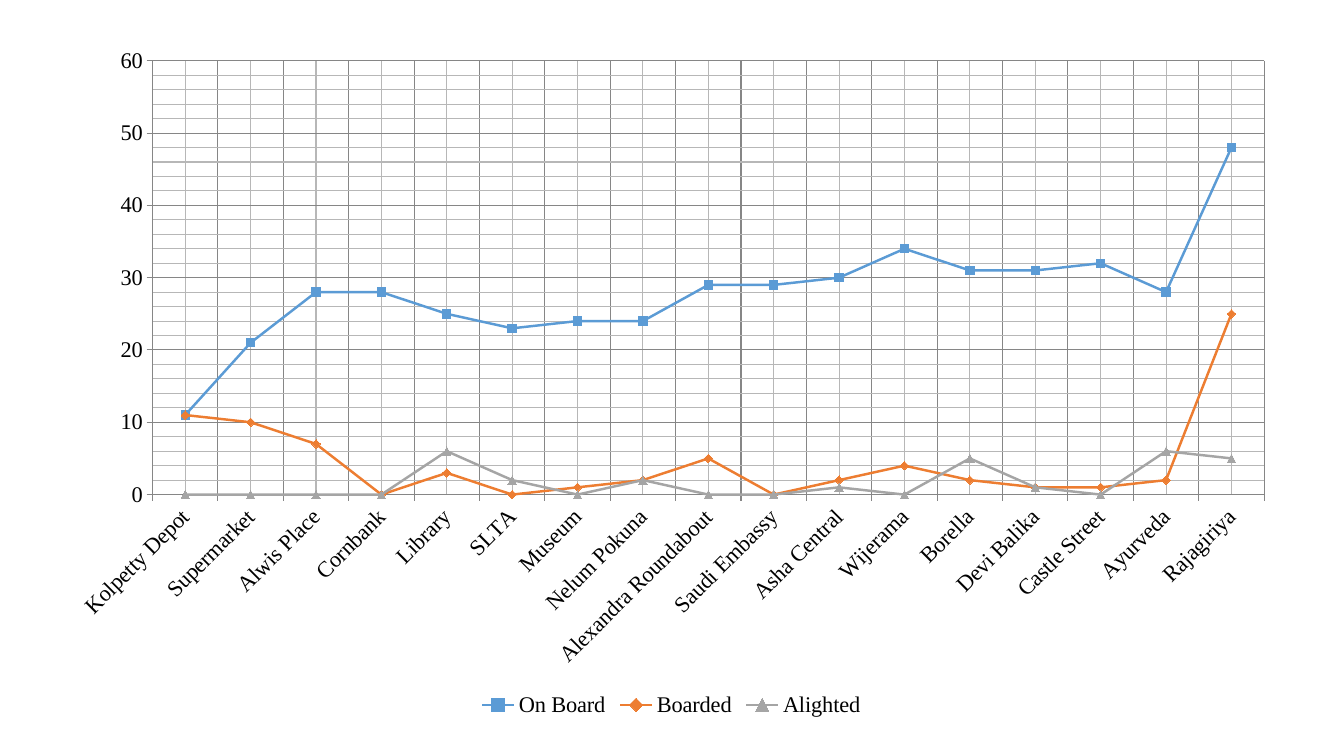
from lxml.etree import SubElement
from pptx import Presentation
from pptx.chart.data import CategoryChartData
from pptx.dml.color import RGBColor
from pptx.enum.chart import XL_CHART_TYPE as ChartType
from pptx.enum.chart import XL_LEGEND_POSITION as LegendPosition
from pptx.enum.chart import XL_MARKER_STYLE as Marker
from pptx.enum.chart import XL_TICK_MARK as TickMark
from pptx.oxml import parse_xml
from pptx.oxml.ns import nsdecls, qn
from pptx.util import Inches, Pt

BLACK = RGBColor(0x00, 0x00, 0x00)
BLUE = RGBColor(0x5B, 0x9B, 0xD5)
ORANGE = RGBColor(0xED, 0x7D, 0x31)
GRAY = RGBColor(0xA5, 0xA5, 0xA5)
MAJOR_GRID = RGBColor(0x86, 0x86, 0x86)
MINOR_GRID = RGBColor(0xB7, 0xB7, 0xB7)

SLIDE_WIDTH, SLIDE_HEIGHT = Inches(13.33), Inches(7.5)
FONT_NAME, FONT_SIZE = "Times New Roman", Pt(16)
GRID_WIDTH = 0.75
# Plot area as shares of the chart frame
PLOT_SHARES = {"x": 0.08, "y": 0.04, "w": 0.9, "h": 0.63}
LABEL_ANGLE = -45

STOPS = [
    "Kolpetty Depot", "Supermarket", "Alwis Place", "Cornbank", "Library",
    "SLTA", "Museum", "Nelum Pokuna", "Alexandra Roundabout",
    "Saudi Embassy", "Asha Central", "Wijerama", "Borella", "Devi Balika",
    "Castle Street", "Ayurveda", "Rajagiriya",
]
# Name, colour, marker and passenger counts per stop
PASSENGERS = [
    ("On Board", BLUE, Marker.SQUARE,
     [11, 21, 28, 28, 25, 23, 24, 24, 29, 29, 30, 34, 31, 31, 32, 28, 48]),
    ("Boarded", ORANGE, Marker.DIAMOND,
     [11, 10, 7, 0, 3, 0, 1, 2, 5, 0, 2, 4, 2, 1, 1, 2, 25]),
    ("Alighted", GRAY, Marker.TRIANGLE,
     [0, 0, 0, 0, 6, 2, 0, 2, 0, 0, 1, 0, 5, 1, 0, 6, 5]),
]


def format_font(font, size=FONT_SIZE, color=BLACK, name=FONT_NAME):
    font.name, font.size = name, size
    font.color.rgb = color


def format_line(line, color, width):
    line.color.rgb = color
    line.width = Pt(width)


def add_passenger_chart(page):
    data = CategoryChartData()
    data.categories = STOPS
    for name, _, _, counts in PASSENGERS:
        data.add_series(name, counts)
    frame = page.shapes.add_chart(
        ChartType.LINE_MARKERS,
        int(SLIDE_WIDTH * 0.04), int(SLIDE_HEIGHT * 0.044),
        int(SLIDE_WIDTH * 0.919), int(SLIDE_HEIGHT * 0.911), data)
    return frame.chart


def format_axis(axis):
    axis.has_major_gridlines = axis.has_minor_gridlines = True
    format_line(axis.major_gridlines.format.line, MAJOR_GRID, GRID_WIDTH)
    format_line(axis.format.line, MAJOR_GRID, GRID_WIDTH)
    axis.major_tick_mark = TickMark.OUTSIDE
    axis.minor_tick_mark = TickMark.NONE
    format_font(axis.tick_labels.font)


def format_minor_gridlines(chart, color, width):
    for gridlines in chart.element.xpath(".//c:minorGridlines"):
        gridlines.append(parse_xml(
            f'<c:spPr {nsdecls("c", "a")}><a:ln w="{Pt(width)}"><a:solidFill>'
            f'<a:srgbClr val="{color}"/></a:solidFill></a:ln></c:spPr>'))


def format_series(series, color, marker):
    series.smooth = False
    format_line(series.format.line, color, 1.75)
    series.marker.style = marker
    series.marker.size = 6
    series.marker.format.fill.solid()
    series.marker.format.fill.fore_color.rgb = color
    format_line(series.marker.format.line, color, 0.75)


def place_plot(chart, shares):
    """Fix the inner plot area inside the chart frame."""
    area = chart.element.xpath("c:chart/c:plotArea")[0]
    for layout in area.findall(qn("c:layout")):
        area.remove(layout)
    layout = parse_xml(f"<c:layout {nsdecls('c')}/>")
    manual = SubElement(layout, qn("c:manualLayout"))
    settings = {"layoutTarget": "inner", "xMode": "edge", "yMode": "edge"}
    for tag, value in {**settings, **shares}.items():
        SubElement(manual, qn(f"c:{tag}")).set("val", str(value))
    area.insert(0, layout)


def rotate_stop_labels(chart, degrees):
    body = chart.element.xpath(".//c:catAx/c:txPr/a:bodyPr")[0]
    body.set("rot", str(degrees * 60000))
    body.set("vert", "horz")


def main():
    deck = Presentation()
    deck.slide_width, deck.slide_height = SLIDE_WIDTH, SLIDE_HEIGHT
    page = deck.slides.add_slide(deck.slide_layouts[6])

    # Chart
    chart = add_passenger_chart(page)
    chart.has_title = False
    format_font(chart.font)
    place_plot(chart, PLOT_SHARES)

    # Axes
    format_axis(chart.category_axis)
    format_axis(chart.value_axis)
    format_minor_gridlines(chart, MINOR_GRID, GRID_WIDTH)
    rotate_stop_labels(chart, LABEL_ANGLE)
    scale = chart.value_axis
    scale.minimum_scale, scale.maximum_scale = 0, 60
    scale.major_unit, scale.minor_unit = 10, 2

    # Lines
    plot = chart.plots[0]
    plot.vary_by_categories = False
    for series, (_, color, marker, _) in zip(plot.series, PASSENGERS):
        format_series(series, color, marker)

    # Legend
    chart.has_legend = True
    chart.legend.position = LegendPosition.BOTTOM
    chart.legend.include_in_layout = False
    format_font(chart.legend.font)

    deck.save("out.pptx")


if __name__ == "__main__":
    main()
